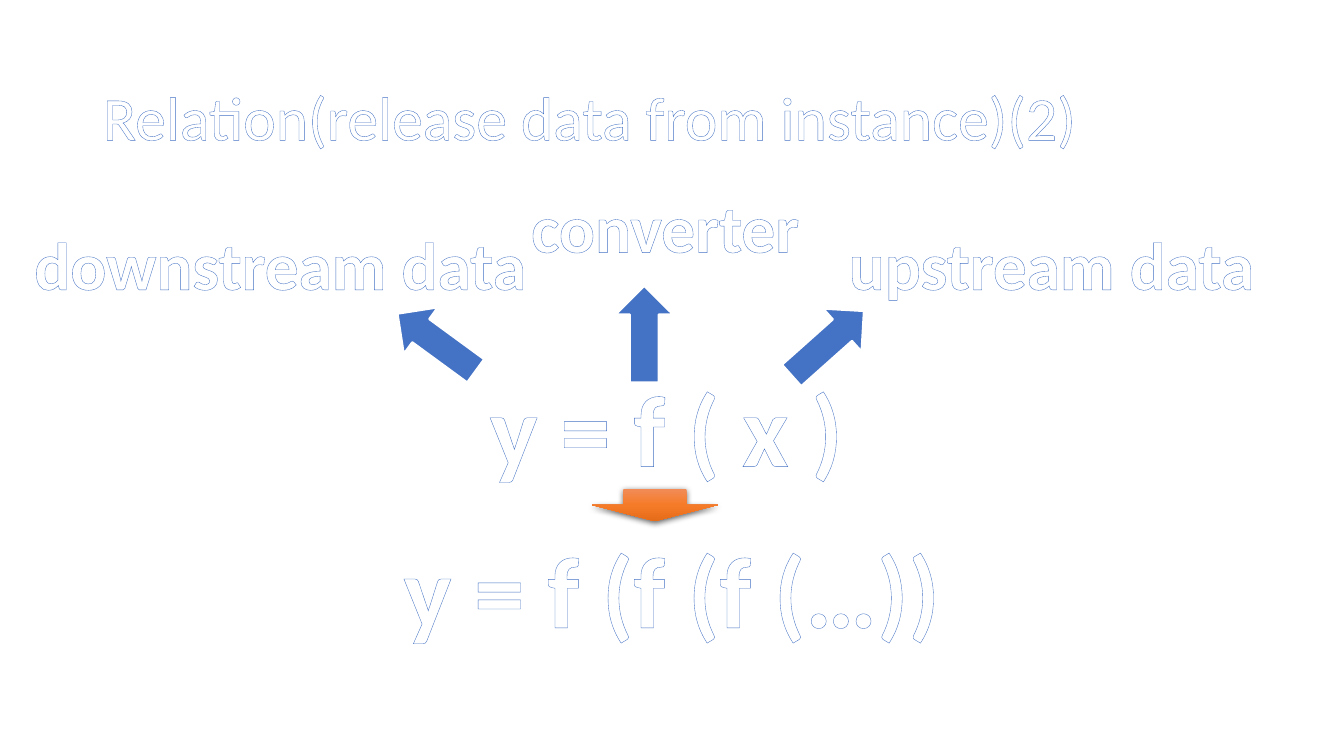
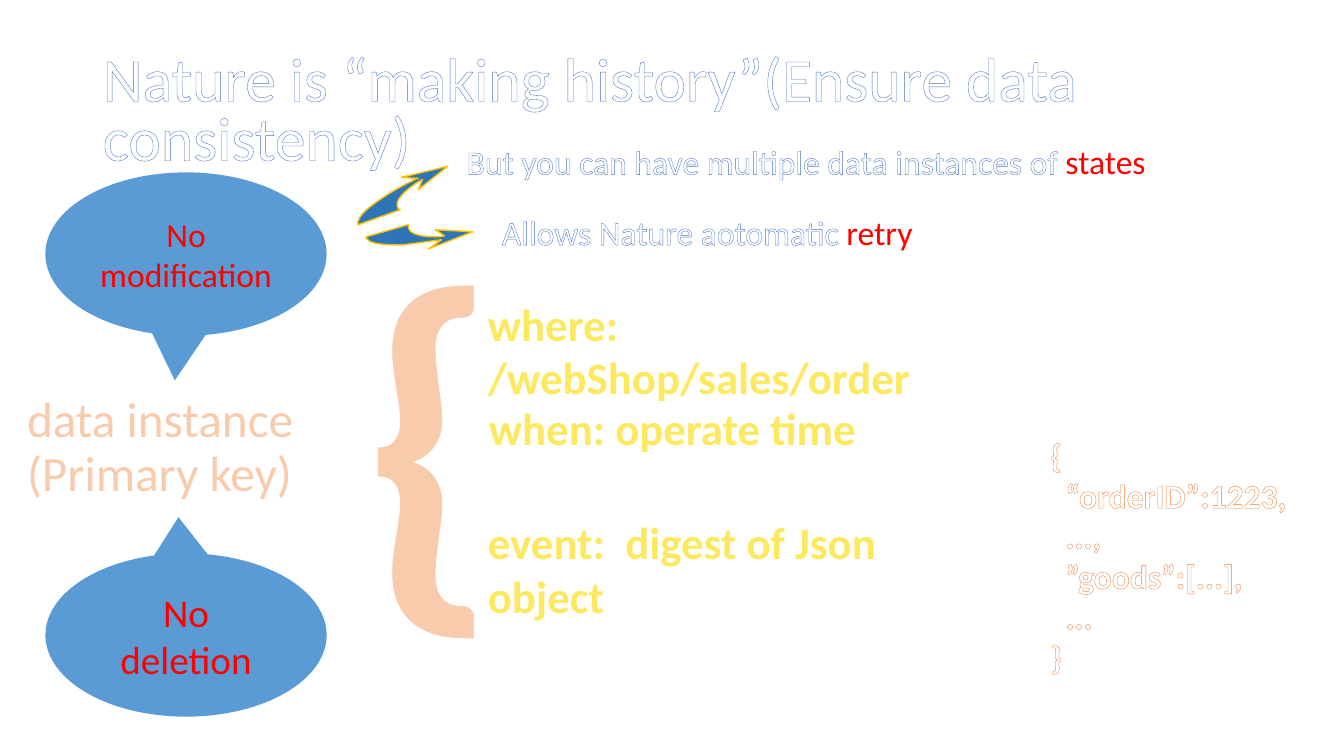
"""Build two slides on data relations and on how history keeps data consistent."""
from dataclasses import dataclass, replace
from typing import Optional

from lxml import etree
from pptx import Presentation
from pptx import util as u
from pptx.dml.color import RGBColor
from pptx.enum import shapes, text
from pptx.oxml import ns

FONT = "Calibri"
WHITE, BLUE, ORANGE, GOLD, RED, PEACH = "FFFFFF", "4472C4", "ED7D31", "FFC000", "FF0000", "F8CBAD"
CALLOUT_BLUE, SWOOSH_BLUE = "5B9BD5", "2E75B6"
YELLOW_STOPS = ((0, "FFF9BB"), (64, "FCE95F"), (100, "F8AD1C"))
ORANGE_STOPS = ((0, "F18C57"), (50, "F67B28"), (100, "E56C19"))
LEFT, CENTER = text.PP_ALIGN.LEFT, text.PP_ALIGN.CENTER


@dataclass(frozen=True)
class Style:
    """Look of a run of text."""
    size: float
    color: str = WHITE
    bold: bool = False
    outline: str = BLUE
    outline_width: float = 0.8
    outline_alpha: int = 100
    stops: Optional[tuple] = None


@dataclass(frozen=True)
class Label:
    """A text box: each line is a list of text and style pairs."""
    box: tuple
    lines: list
    align: int = LEFT
    wrap: bool = True
    grow: bool = True
    anchor: int = text.MSO_ANCHOR.TOP
    spacing: Optional[float] = None
    indents: tuple = ()


@dataclass(frozen=True)
class Arrow:
    """A block arrow turned by an angle."""
    left: float
    top: float
    rotation: float


@dataclass(frozen=True)
class Callout:
    """An elliptic speech bubble with its pointer offsets."""
    top: float
    pointer: tuple
    words: str
    size: float


TITLE = Style(44)
NAME = Style(48, bold=True)
FORMULA = Style(72, bold=True)
KEY = Style(35.2, PEACH, outline=ORANGE, outline_width=1.75)
BRACE = replace(KEY, size=287, bold=True)
PART = Style(32, bold=True, outline="861E1D", outline_width=2, outline_alpha=94, stops=YELLOW_STOPS)
JSON = Style(24, bold=True, outline=ORANGE, outline_width=0.52)
NOTE = Style(24)
NOTE_RED = Style(24, RED, outline=GOLD)

JSON_LINES = ("{", "“orderID”:1223,", "...,", "”goods”:[...],", "...", "}")
JSON_INDENTS = (0, 0.15, 0.15, 0.15, 0.15, 0)

RELATION_LABELS = (
    Label((4.76, 3.58, 3.7, 1.31), [[("y = f ( x )", FORMULA)]], CENTER, wrap=False),
    Label((8.32, 2.16, 4.22, 0.91), [[("upstream data", NAME)]], CENTER, wrap=False),
    Label((5.17, 1.79, 2.86, 0.91), [[("converter", NAME)]], wrap=False),
    Label((0.24, 2.16, 5.08, 0.91), [[("downstream data", NAME)]], CENTER, wrap=False),
    Label((3.36, 5.18, 6.61, 1.31), [[("y = f (f (f (…))", FORMULA)]], CENTER),
)
RELATION_ARROWS = (Arrow(7.73, 3.12, 318.3), Arrow(3.85, 3.11, 216.2), Arrow(5.91, 3.03, 270))

HISTORY_LABELS = (
    Label((0.17, 3.78, 2.94, 1.34), [[("data instance", KEY)], [("(Primary key)", KEY)]],
          grow=False, anchor=text.MSO_ANCHOR.MIDDLE, spacing=0.9),
    Label((3.49, 1.71, 0.54, 4.93), [[("{", BRACE)]], CENTER),
    Label((4.74, 2.89, 5.7, 0.64), [[("where: /webShop/sales/order", PART)]]),
    Label((4.75, 3.93, 3.84, 0.64), [[("when: operate time", PART)]], wrap=False),
    Label((4.74, 5.06, 5.2, 0.64), [[("event:  digest of Json object", PART)]]),
    Label((10.32, 4.26, 2.86, 2.52), [[(line, JSON)] for line in JSON_LINES], indents=JSON_INDENTS),
    Label((4.53, 1.35, 6.96, 0.5),
          [[("But you can have multiple data instances of", NOTE), (" states", NOTE_RED)]]),
    Label((4.88, 2.05, 6.43, 0.5), [[("Allows Nature aotomatic ", NOTE), ("retry", NOTE_RED)]]),
)
CALLOUTS = (
    Callout(1.71, (-0.04, 0.774), "No modification", 24),
    Callout(5.49, (-0.027, -0.722), "No deletion", 28),
)
SWOOSHES = (
    ((3.98, 1.76), (4.44, 1.65), (4.15, 1.88), (4.19, 1.78),
     (4.16, 1.8, 4.13, 1.81, 4.11, 1.83), (3.94, 1.95, 3.92, 2.02, 3.95, 2.07),
     (3.97, 2.08), (3.55, 2.23), (3.55, 2.21), (3.55, 2.2, 3.55, 2.19, 3.56, 2.18),
     (3.57, 2.13, 3.66, 2.05, 3.8, 1.96), (3.87, 1.91, 3.99, 1.84, 4.14, 1.77), (4.15, 1.77)),
    ((4.25, 2.47), (4.69, 2.3), (4.32, 2.28), (4.41, 2.34),
     (4.37, 2.35, 4.34, 2.35, 4.32, 2.35), (4.11, 2.35, 4.05, 2.3, 4.05, 2.24),
     (4.05, 2.23), (3.63, 2.35), (3.64, 2.37), (3.65, 2.38, 3.66, 2.38, 3.66, 2.39),
     (3.71, 2.42, 3.82, 2.43, 3.99, 2.43), (4.08, 2.42, 4.21, 2.4, 4.37, 2.38), (4.38, 2.38)),
)


def rgb(color: str) -> RGBColor:
    """Turn a hex string into a colour."""
    return RGBColor.from_string(color)


def inches(*lengths: float) -> list:
    """Turn numbers into lengths."""
    return [u.Inches(length) for length in lengths]


def add_element(parent, tag: str, **attributes):
    """Append a drawing element with its attributes."""
    element = etree.SubElement(parent, ns.qn(tag))
    for name, value in attributes.items():
        element.set(name, str(value))
    return element


def add_color(parent, color: str, alpha: int = 100) -> None:
    """Append a colour with an opacity in percent."""
    element = add_element(parent, "a:srgbClr", val=color)
    if alpha < 100:
        add_element(element, "a:alpha", val=alpha * 1000)


def set_gradient(properties, stops: tuple) -> None:
    """Replace a solid fill by a vertical gradient."""
    solid = properties.find(ns.qn("a:solidFill"))
    gradient = add_element(properties, "a:gradFill", rotWithShape=1)
    stop_list = add_element(gradient, "a:gsLst")
    for position, color in stops:
        add_color(add_element(stop_list, "a:gs", pos=position * 1000), color)
    add_element(gradient, "a:lin", ang=90 * 60000, scaled=0)
    properties.replace(solid, gradient)


def format_run(run, style: Style) -> None:
    """Give a run its font, fill and outline."""
    font = run.font
    font.name, font.size, font.bold = FONT, u.Pt(style.size), style.bold
    font.color.rgb = rgb(style.color)
    properties = run._r.get_or_add_rPr()
    if style.stops:
        set_gradient(properties, style.stops)
    outline = add_element(properties, "a:ln", w=int(u.Pt(style.outline_width)))
    add_color(add_element(outline, "a:solidFill"), style.outline, style.outline_alpha)
    properties.insert(0, outline)


def add_title(presentation, words: str, top: float, spacing: float):
    """Add a title-only slide and format its title."""
    slide = presentation.slides.add_slide(presentation.slide_layouts[5])
    title = slide.shapes.title
    title.left, title.top, title.width, title.height = inches(0.92, top, 11.5, 1.45)
    frame = title.text_frame
    frame.text = words
    frame.auto_size = text.MSO_AUTO_SIZE.NONE
    frame.vertical_anchor = text.MSO_ANCHOR.MIDDLE
    paragraph = frame.paragraphs[0]
    paragraph.alignment, paragraph.line_spacing = LEFT, spacing
    format_run(paragraph.runs[0], TITLE)
    return slide


def add_label(slide, label: Label) -> None:
    """Draw a text box."""
    frame = slide.shapes.add_textbox(*inches(*label.box)).text_frame
    frame.word_wrap = label.wrap
    frame.vertical_anchor = label.anchor
    frame.auto_size = text.MSO_AUTO_SIZE.SHAPE_TO_FIT_TEXT if label.grow else text.MSO_AUTO_SIZE.NONE
    for index, line in enumerate(label.lines):
        paragraph = frame.add_paragraph() if index else frame.paragraphs[0]
        paragraph.alignment = label.align
        if label.spacing:
            paragraph.line_spacing = label.spacing
        if label.indents:
            paragraph._p.get_or_add_pPr().set("marL", str(u.Inches(label.indents[index])))
        for words, style in line:
            run = paragraph.add_run()
            run.text = words
            format_run(run, style)


def paint(shape, fill: str, line: Optional[str] = None, width: float = 1) -> None:
    """Give a shape a flat fill and an optional line."""
    shape.shadow.inherit = False
    shape.fill.solid()
    shape.fill.fore_color.rgb = rgb(fill)
    if line:
        shape.line.color.rgb = rgb(line)
        shape.line.width = u.Pt(width)
    else:
        shape.line.fill.background()


def add_arrow(slide, arrow: Arrow) -> None:
    """Draw a turned block arrow."""
    box = inches(arrow.left, arrow.top, 0.96, 0.57)
    shape = slide.shapes.add_shape(shapes.MSO_SHAPE.RIGHT_ARROW, *box)
    shape.rotation = arrow.rotation
    paint(shape, BLUE, WHITE, 1.5)


def add_result_arrow(slide) -> None:
    """Draw the shaded arrow that leads to the nested formula."""
    shape = slide.shapes.add_shape(shapes.MSO_SHAPE.DOWN_ARROW, *inches(5.87, 4.85, 1.25, 0.32))
    paint(shape, ORANGE)
    properties = shape._element.spPr
    set_gradient(properties, ORANGE_STOPS)
    shadow = add_element(properties.find(ns.qn("a:effectLst")), "a:outerShdw", blurRad=int(u.Pt(4.5)),
                         dist=int(u.Pt(1.5)), dir=90 * 60000, algn="ctr", rotWithShape=0)
    add_color(shadow, "000000", 63)


def add_callout(slide, callout: Callout) -> None:
    """Draw a speech bubble."""
    box = inches(0.45, callout.top, 2.79, 1.62)
    shape = slide.shapes.add_shape(shapes.MSO_SHAPE.OVAL_CALLOUT, *box)
    for index, offset in enumerate(callout.pointer):
        shape.adjustments[index] = offset
    paint(shape, CALLOUT_BLUE)
    frame = shape.text_frame
    frame.text = callout.words
    frame.word_wrap = True
    frame.vertical_anchor = text.MSO_ANCHOR.MIDDLE
    frame.paragraphs[0].alignment = CENTER
    format_run(frame.paragraphs[0].runs[0], Style(callout.size, RED, outline=GOLD, outline_width=0.75))


def curve_points(start: tuple, curve: tuple, steps: int = 8) -> list:
    """Sample a cubic curve after its start."""
    corners = (start, curve[:2], curve[2:4], curve[4:])
    points = []
    for step in range(1, steps + 1):
        t = step / steps
        weights = ((1 - t) ** 3, 3 * t * (1 - t) ** 2, 3 * t * t * (1 - t), t ** 3)
        points.append(tuple(sum(w * c[axis] for w, c in zip(weights, corners)) for axis in (0, 1)))
    return points


def add_swoosh(slide, outline: tuple) -> None:
    """Draw a curved arrow from corners and cubic curves."""
    points = [outline[0]]
    for segment in outline[1:]:
        points += [segment] if len(segment) == 2 else curve_points(points[-1], segment)
    corners = [inches(*point) for point in points]
    builder = slide.shapes.build_freeform(*corners[0])
    builder.add_line_segments(corners[1:], close=True)
    paint(builder.convert_to_shape(), SWOOSH_BLUE, GOLD)


def main() -> None:
    """Build and save the presentation."""
    presentation = Presentation()
    presentation.slide_width, presentation.slide_height = inches(13.33, 7.5)

    relation = add_title(presentation, "Relation(release data from instance)(2)", 0.47, 0.9)
    for arrow in RELATION_ARROWS:
        add_arrow(relation, arrow)
    for label in RELATION_LABELS:
        add_label(relation, label)
    add_result_arrow(relation)

    history = add_title(presentation, "Nature is “making history”(Ensure data consistency)", 0.4, 0.8)
    for callout in CALLOUTS:
        add_callout(history, callout)
    for outline in SWOOSHES:
        add_swoosh(history, outline)
    for label in HISTORY_LABELS:
        add_label(history, label)
    presentation.save("out.pptx")


if __name__ == "__main__":
    main()
